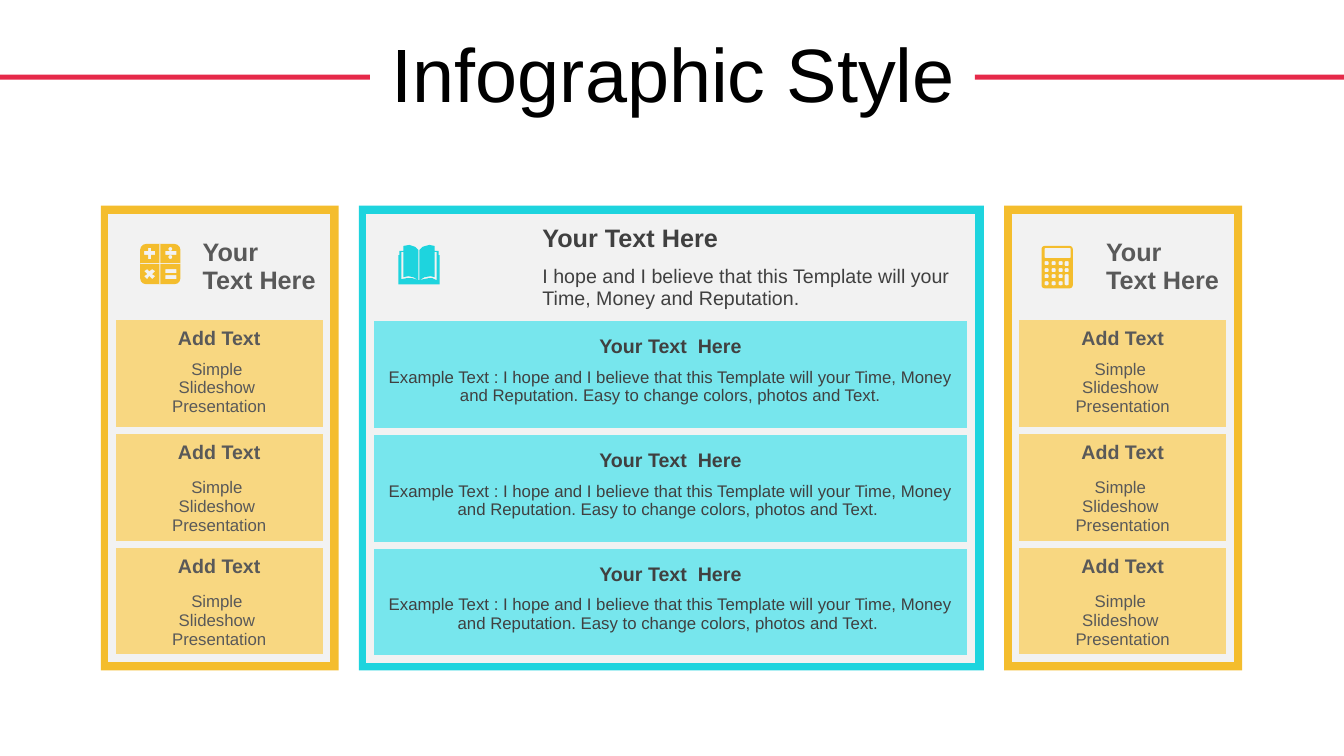
from math import cos, sin, radians
from pptx import Presentation
from pptx.dml.color import RGBColor as RGB
from pptx.enum.shapes import MSO_SHAPE as Kind
from pptx.enum.text import MSO_ANCHOR as Anc, PP_ALIGN as Al
from pptx.oxml import parse_xml
from pptx.oxml.ns import qn, nsdecls
from pptx.util import Pt

PX = 9144
RED = RGB(0xE6, 0x29, 0x49)
GOLD = RGB(0xF4, 0xBD, 0x2D)
SAND = RGB(0xF8, 0xD7, 0x81)
TEAL = RGB(0x1E, 0xD4, 0xDE)
AQUA = RGB(0x77, 0xE6, 0xED)
PALE = RGB(0xF2, 0xF2, 0xF2)
GREY = RGB(0x59, 0x59, 0x59)
DARK = RGB(0x40, 0x40, 0x40)
BLACK = RGB(0, 0, 0)
PLAIN = "{2D5ABB26-0587-4C30-8999-92F81FD0307C}"

deck = Presentation()
deck.slide_width, deck.slide_height = 1333 * PX, 750 * PX
slide = deck.slides.add_slide(deck.slide_layouts[5])
shapes = slide.shapes


def paint(shape, color):
    shape.fill.solid()
    shape.fill.fore_color.rgb = color
    shape.line.fill.background()
    shape.shadow.inherit = False


def box(left, top, right, low, rad=0):
    turns = ((right - rad, low - rad, 0), (left + rad, low - rad, 90),
             (left + rad, top + rad, 180), (right - rad, top + rad, 270))
    return [(x + rad * cos(radians(a + d)), y + rad * sin(radians(a + d)))
            for x, y, a in turns for d in ((0, 30, 60, 90) if rad else (0,))]


title = shapes.title
title.left, title.top, title.width, title.height = 35 * PX, 31 * PX, 1266 * PX, 92 * PX
title.text_frame.text = "Infographic Style"
title.text_frame.vertical_anchor = Anc.MIDDLE
line = title.text_frame.paragraphs[0]
line.alignment = Al.CENTER
line.line_spacing = 0.9
line.font.size, line.font.name = Pt(54), "Arial"
line.font.color.rgb = BLACK

for left in (0, 967):
    paint(shapes.add_shape(Kind.RECTANGLE, left * PX, 74 * PX, 367 * PX, 5 * PX), RED)

hope = "I hope and I believe that this Template will your Time, Money and Reputation."
side = [(1, "Your\nText Here", 18, True, Anc.MIDDLE)]
main = [(1, "Your Text Here", 18, True, Anc.BOTTOM), (1, hope, 14, False, Anc.MIDDLE)]
for n in range(3):
    side += [(0, "Add Text", 14, True, Anc.BOTTOM),
             (0, "Simple \nSlideshow \nPresentation", 12, False, Anc.MIDDLE if n else Anc.TOP)]
    main += [(0, "Your Text  Here", 14, True, Anc.BOTTOM),
             (0, f"Example Text : {hope} Easy to change colors, photos and Text." + " " * (n > 0),
              12, False, Anc.TOP)]

thin, wide = [98] + [38, 75] * 3, [40, 59] + [45, 68] * 3
panels = [
    (996, 236, GOLD, SAND, GREY, (80, 133), thin, side),
    (356, 620, TEAL, AQUA, DARK, (161, 435), wide, main),
    (100, 236, GOLD, SAND, GREY, (80, 133), thin, side),
]
for left, width, edge, tint, ink, cols, rows, items in panels:
    paint(shapes.add_shape(Kind.RECTANGLE, left * PX, 204 * PX, width * PX, 461 * PX), edge)
    frame = shapes.add_table(len(rows), 2, (left + 11) * PX, 216 * PX,
                             sum(cols) * PX, sum(rows) * PX)
    table = frame.table
    table.first_row = table.horz_banding = False
    next(frame._element.iter(qn("a:tableStyleId"))).text = PLAIN
    for col, size in zip(table.columns, cols):
        col.width = size * PX
    heads = len(rows) - 6
    if heads > 1:
        table.cell(0, 0).merge(table.cell(heads - 1, 0))
    for r, (size, (spot, text, points, bold, anchor)) in enumerate(zip(rows, items)):
        table.rows[r].height = size * PX
        if r >= heads:
            table.cell(r, 0).merge(table.cell(r, 1))
        for c in range(2):
            cell = table.cell(r, c)
            if cell.is_spanned:
                continue
            sides = "LR" + "T" * (r == 0) + "B" * (r < heads or (len(rows) - r) % 2)
            for s in sides:
                cell._tc.get_or_add_tcPr().append(parse_xml(
                    f'<a:ln{s} {nsdecls("a")} w="{Pt(6)}"><a:solidFill>'
                    f'<a:srgbClr val="{PALE}"/></a:solidFill></a:ln{s}>'))
            cell.fill.solid()
            cell.fill.fore_color.rgb = tint if r >= heads else PALE
        cell = table.cell(r, spot)
        cell.text_frame.text = text
        cell.vertical_anchor = anchor
        for line in cell.text_frame.paragraphs:
            line.alignment = Al.LEFT if r < heads else Al.CENTER
            line.font.size, line.font.bold, line.font.name = Pt(points), bold, "Arial"
            line.font.color.rgb = ink

keys = [box(x, y, x + 4, y + 4, 1) for x in (1036, 1043, 1050) for y in (259, 266, 272, 279)]
keys += [box(1056, y, 1060, low, 1) for y, low in ((259, 264), (266, 270), (272, 283))]
counter = [box(1033, 244, 1064, 286, 3), box(1036, 246, 1062, 256, 1)] + keys

cross = [(158, 242), (159, 242), (159, 261), (179, 261), (179, 262), (159, 262),
         (159, 282), (158, 282), (158, 262), (139, 262), (139, 261), (158, 261)]
plus = [(147, 246), (150, 246), (150, 249), (154, 249), (154, 253), (150, 253),
        (150, 257), (147, 257), (147, 253), (143, 253), (143, 249), (147, 249)]
times = [(146, 267), (148, 269), (151, 267), (154, 269), (151, 272), (154, 274),
         (151, 277), (148, 274), (146, 277), (143, 274), (146, 272), (143, 269)]
signs = [box(139, 242, 179, 282, 6), cross, plus, times, box(167, 245, 171, 249, 2),
         box(167, 253, 171, 257, 2)]
signs += [box(164, y, 175, y + 4) for y in (249, 267, 273)]

book = [[(415, 278), (416, 278), (420, 277), (425, 276), (429, 276), (433, 278), (433, 250),
         (431, 250), (431, 275), (427, 274), (421, 275), (416, 278), (416, 248), (419, 245),
         (422, 244), (426, 243), (431, 244), (431, 249), (435, 249), (435, 253), (436, 253),
         (436, 282), (395, 282), (395, 253), (396, 253), (396, 249), (400, 249), (400, 244),
         (406, 243), (409, 244), (412, 245), (415, 248), (415, 278), (410, 275), (405, 274),
         (400, 275), (400, 250), (398, 250), (398, 277), (403, 276), (409, 276)]]

for rings, color in ((counter, GOLD), (signs, GOLD), (book, TEAL)):
    pen = None
    for ring in rings:
        dots = [(round(x * PX), round(y * PX)) for x, y in ring]
        if pen:
            pen.move_to(*dots[0])
        else:
            pen = shapes.build_freeform(*dots[0])
        pen.add_line_segments(dots[1:], close=True)
    paint(pen.convert_to_shape(), color)

deck.save("out.pptx")
